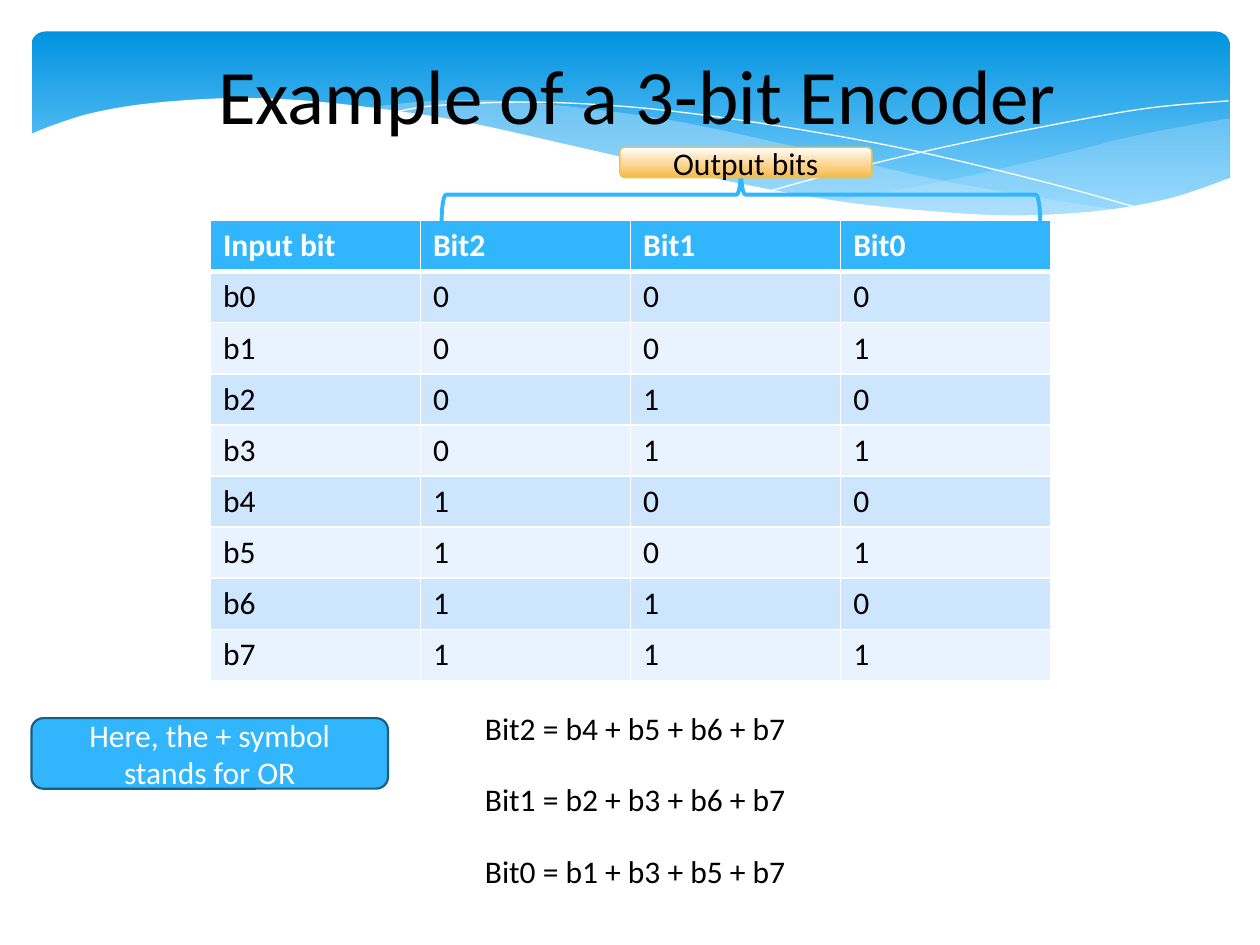
from dataclasses import dataclass
from itertools import chain

from lxml import etree
from pptx import Presentation
from pptx.dml.color import RGBColor
from pptx.enum.shapes import MSO_SHAPE
from pptx.enum.text import MSO_ANCHOR, MSO_AUTO_SIZE, PP_ALIGN
from pptx.oxml.ns import qn
from pptx.util import Inches, Pt

ROUNDED = MSO_SHAPE.ROUNDED_RECTANGLE
BRACE = MSO_SHAPE.LEFT_BRACE
LEFT, CENTER = PP_ALIGN.LEFT, PP_ALIGN.CENTER
MIDDLE = MSO_ANCHOR.MIDDLE
GROW = MSO_AUTO_SIZE.SHAPE_TO_FIT_TEXT
BLANK_LAYOUT = 6


@dataclass(frozen=True)
class Theme:
    font: str = "Calibri"
    title_size: int = 44
    body_size: int = 18
    ink: str = "000000"
    paper: str = "FFFFFF"
    accent: str = "31B6FD"
    accent_edge: str = "195F84"
    ripple: str = "C6E7FC"
    bands: tuple = ("CEE5FE", "E8F3FF")
    label_edge: str = "F5C040"
    label_stops: tuple = ((0, "FFFFFF"), (44, "FFDDAA"), (100, "F4BB4A"))
    sky_stops: tuple = ((0, "0293E0"), (90, "83D3FE"))


RIPPLE_RIGHT = [
    [(9.76, 0.94), (9.35, 1.01), (8.91, 1.1), (8.32, 1.25), (7.53, 1.43), (6.61, 1.6)],
    [(6.61, 1.6), (7.19, 1.67), (7.69, 1.71), (8.14, 1.72), (8.63, 1.7), (9.13, 1.62),
     (9.49, 1.52), (9.76, 1.41)],
]
RIPPLE_LONG = [
    [(8.93, 1.67), (8.37, 1.59), (7.41, 1.42), (6.29, 1.16), (5.41, 0.97), (4.65, 0.86),
     (3.99, 0.8), (3.44, 0.8), (2.86, 0.86)],
    [(2.86, 0.86), (3.42, 0.94), (4.49, 1.16), (5.66, 1.43), (6.5, 1.58), (7.22, 1.68),
     (7.85, 1.72), (8.38, 1.72), (8.93, 1.67)],
]
THREAD_FALLING = [
    [(3.09, 0.9), (3.44, 0.84), (4.16, 0.81), (4.89, 0.84), (5.56, 0.91), (6.36, 1.03),
     (7.27, 1.2), (8.31, 1.45), (9.07, 1.66)],
]
THREAD_RISING = [
    [(6.13, 1.51), (6.72, 1.35), (7.48, 1.17), (8.36, 0.99), (9.1, 0.86), (9.75, 0.8)],
]
WHITE_WAVE = [
    [(9.77, 1.41), (9.3, 1.57), (8.75, 1.67), (8.09, 1.71), (7.44, 1.68), (6.68, 1.6),
     (5.79, 1.44), (4.47, 1.14), (3.65, 0.96), (2.92, 0.85), (2.3, 0.79), (1.77, 0.78),
     (1.19, 0.82), (0.76, 0.89), (0.46, 0.98), (0.23, 1.07)],
    [(0.23, 2.24), (9.77, 2.24)],
]


def smooth(anchors, steps=6):
    padded = [anchors[0], *anchors, anchors[-1]]
    points = [anchors[0]]
    for knots in zip(padded, padded[1:], padded[2:], padded[3:]):
        for step in range(1, steps + 1):
            t = step / steps
            points.append(tuple(
                (2 * q + (r - p) * t + (2 * p - 5 * q + 4 * r - s) * t**2
                 + (3 * q - p - 3 * r + s) * t**3) / 2
                for p, q, r, s in zip(*knots)))
    return points


class Painter:
    """Hold the theme and the current page, and draw each kind of element."""

    def __init__(self, page, theme):
        self.page = page
        self.theme = theme

    def add_span(self, frame, text, size, color, align=LEFT, bold=False):
        para = frame.paragraphs[0]
        para.alignment = align
        span = para.add_run()
        span.text = text
        span.font.name = self.theme.font
        span.font.size = Pt(size)
        span.font.bold = bold
        span.font.color.rgb = RGBColor.from_string(color)

    def paint(self, shape, fill=None, edge=None, width=0, alpha=None):
        shape.shadow.inherit = False
        if fill is None:
            shape.fill.background()
        elif isinstance(fill, tuple):
            self.grade(shape, fill)
        else:
            shape.fill.solid()
            shape.fill.fore_color.rgb = RGBColor.from_string(fill)
        if alpha is not None:
            color = next(shape.element.iter(qn("a:srgbClr")))
            etree.SubElement(color, qn("a:alpha"), val=str(alpha * 1000))
        if edge is None:
            shape.line.fill.background()
        else:
            shape.line.color.rgb = RGBColor.from_string(edge)
            shape.line.width = Pt(width)

    def grade(self, shape, stops):
        shape.fill.gradient()
        shape.fill.gradient_angle = 270
        stop_list = next(shape.element.iter(qn("a:gsLst")))
        for old in list(stop_list):
            stop_list.remove(old)
        for position, color in stops:
            stop = etree.SubElement(stop_list, qn("a:gs"), pos=str(position * 1000))
            etree.SubElement(stop, qn("a:srgbClr"), val=color)

    def shape(self, kind, *bounds, **style):
        shape = self.page.shapes.add_shape(kind, *map(Inches, bounds))
        self.paint(shape, **style)
        return shape

    def label(self, text, color, *bounds, **style):
        frame = self.shape(ROUNDED, *bounds, **style).text_frame
        frame.word_wrap = True
        frame.vertical_anchor = MIDDLE
        self.add_span(frame, text, self.theme.body_size, color, CENTER)

    def curve(self, pieces, closed=True, **style):
        points = [(Inches(x), Inches(y)) for x, y in chain.from_iterable(map(smooth, pieces))]
        builder = self.page.shapes.build_freeform(*points[0])
        builder.add_line_segments(points[1:], close=closed)
        self.paint(builder.convert_to_shape(), **style)

    def text(self, text, size, *bounds, align=LEFT, wrap=True):
        frame = self.page.shapes.add_textbox(*map(Inches, bounds)).text_frame
        frame.word_wrap = wrap
        frame.auto_size = GROW
        self.add_span(frame, text, size, self.theme.ink, align)

    def border(self, cell, side, width):
        properties = cell._tc.get_or_add_tcPr()
        line = etree.SubElement(properties, qn(f"a:ln{side}"), w=str(Pt(width)))
        fill = etree.SubElement(line, qn("a:solidFill"))
        etree.SubElement(fill, qn("a:srgbClr"), val=self.theme.paper)

    def table(self, rows, *bounds):
        theme = self.theme
        table = self.page.shapes.add_table(len(rows), len(rows[0]), *map(Inches, bounds)).table
        for r, row in enumerate(rows):
            header = r == 0
            fill = theme.accent if header else theme.bands[(r - 1) % 2]
            color = theme.paper if header else theme.ink
            rules = {"L": 1, "R": 1, "T": 3 if r == 1 else 1, "B": 3 if header else 1}
            for c, value in enumerate(row):
                cell = table.cell(r, c)
                for side, weight in rules.items():
                    self.border(cell, side, weight)
                cell.fill.solid()
                cell.fill.fore_color.rgb = RGBColor.from_string(fill)
                self.add_span(cell.text_frame, value, theme.body_size, color, bold=header)


def main():
    deck = Presentation()
    deck.slide_width, deck.slide_height = Inches(10), Inches(7.5)
    theme = Theme()
    painter = Painter(deck.slides.add_slide(deck.slide_layouts[BLANK_LAYOUT]), theme)

    sky = painter.shape(ROUNDED, 0.25, 0.25, 9.51, 1.56, fill=theme.sky_stops)
    sky.adjustments[0] = 0.07
    painter.curve(RIPPLE_RIGHT, fill=theme.ripple, alpha=29)
    painter.curve(RIPPLE_LONG, fill=theme.ripple, alpha=40)
    for thread in (THREAD_FALLING, THREAD_RISING):
        painter.curve(thread, closed=False, edge=theme.paper)
    painter.curve(WHITE_WAVE, fill=theme.paper)

    painter.text("Example of a 3-bit Encoder", theme.title_size,
                 0.04, 0.33, 10.04, 0.84, align=CENTER)
    codes = [[f"b{n}", *f"{n:03b}"] for n in range(8)]
    painter.table([["Input bit", "Bit2", "Bit1", "Bit0"], *codes], 1.67, 1.75, 6.67, 3.65)

    brace = painter.shape(BRACE, 5.67, -0.83, 0.42, 4.75, edge=theme.accent, width=2.25)
    brace.rotation = 90
    painter.label("Output bits", theme.ink, 4.92, 1.17, 2, 0.24,
                  fill=theme.label_stops, edge=theme.label_edge, width=0.75)

    for bit, top in ((2, 5.58), (1, 6.14), (0, 6.71)):
        inputs = " + ".join(f"b{n}" for n in range(8) if n >> bit & 1)
        painter.text(f"Bit{bit} = {inputs}", theme.body_size, 3.75, top, 2.59, 0.4, wrap=False)
    painter.label("Here, the + symbol stands for OR", theme.paper, 0.25, 5.7, 2.83, 0.56,
                  fill=theme.accent, edge=theme.accent_edge, width=1.25)
    deck.save("out.pptx")


if __name__ == "__main__":
    main()
